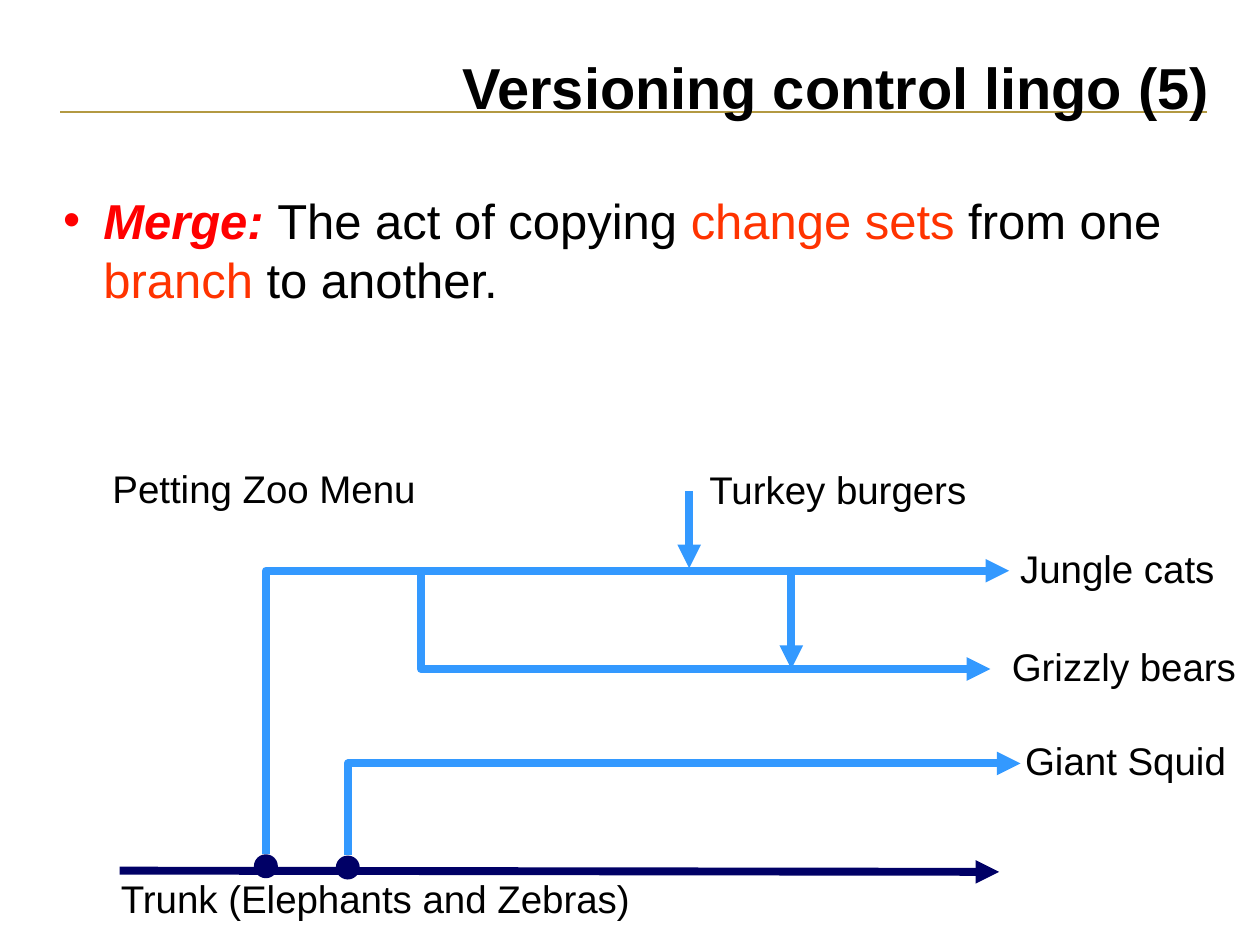
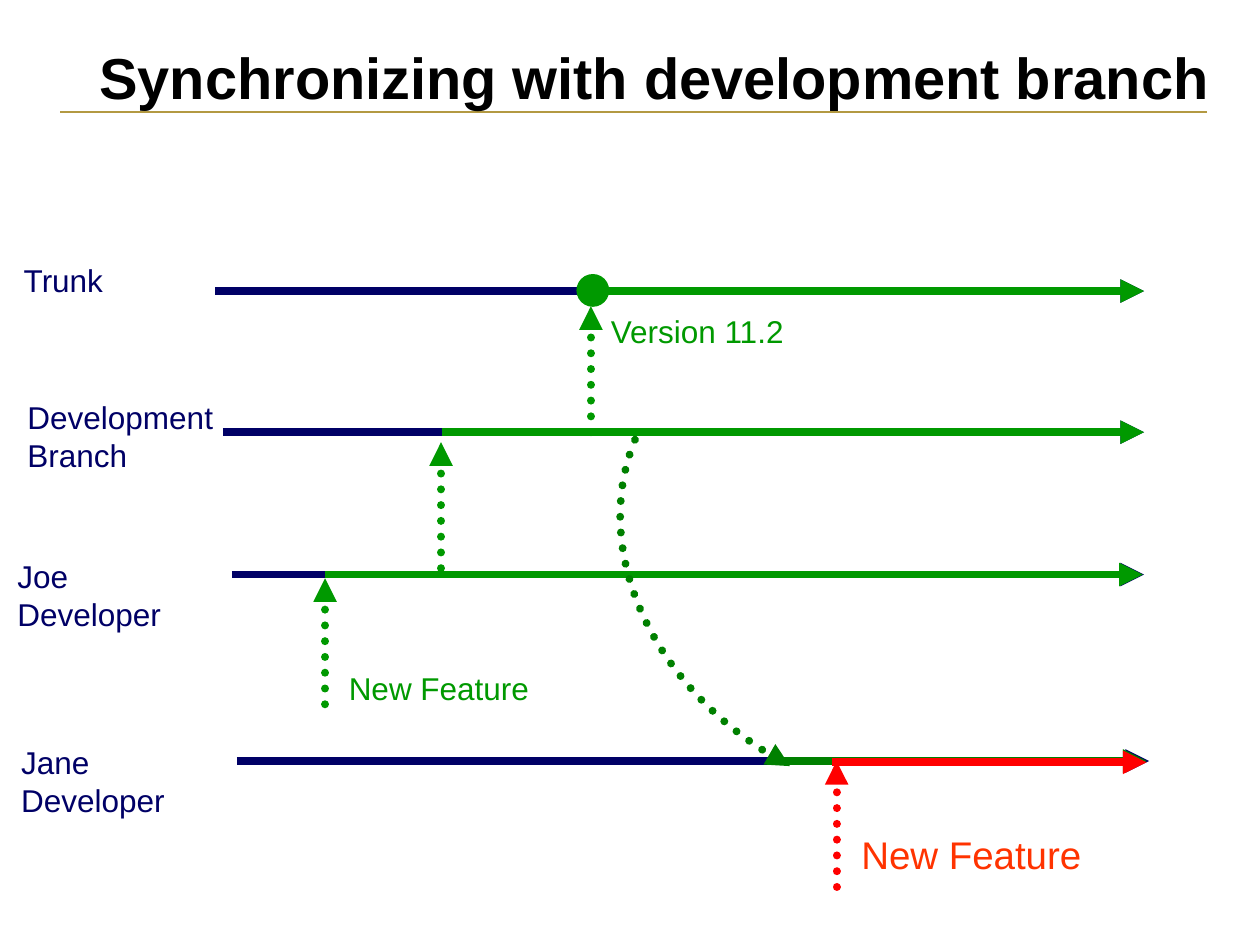
from dataclasses import dataclass

from lxml import etree
from pptx import Presentation
from pptx.dml.color import RGBColor
from pptx.enum.dml import MSO_LINE
from pptx.enum.shapes import MSO_CONNECTOR, MSO_SHAPE
from pptx.enum.text import MSO_ANCHOR, MSO_AUTO_SIZE, PP_ALIGN
from pptx.oxml.ns import qn
from pptx.util import Inches, Pt

STRAIGHT = MSO_CONNECTOR.STRAIGHT
OVAL = MSO_SHAPE.OVAL
ROUND_DOT = MSO_LINE.ROUND_DOT
LEFT, CENTER, RIGHT = PP_ALIGN.LEFT, PP_ALIGN.CENTER, PP_ALIGN.RIGHT

# The slide is a square grid of 100 columns by 75 rows.
COLUMNS, ROWS = 100, 75
CELL = Inches(10) / COLUMNS
TITLE_AND_BODY, TITLE_ONLY = 1, 5


@dataclass(frozen=True)
class Theme:
    font: str = "Arial"
    black: str = "000000"
    gold: str = "B39942"
    navy: str = "000066"
    blue: str = "3399FF"
    green: str = "009900"
    dark_green: str = "008000"
    red: str = "FF0000"
    orange: str = "FF3300"
    title_size: float = 33
    body_size: float = 28
    label_size: float = 22
    small_size: float = 18
    rule_width: float = 1.5
    track_width: float = 4.5
    dot_outline: float = 0.75
    tight: float = 0.9


THEME = Theme()


def grid(cells):
    return round(cells * CELL)


def place(shape, left, top, width, height):
    shape.left, shape.top = grid(left), grid(top)
    shape.width, shape.height = grid(width), grid(height)


def add_span(para, text, size, color, bold=False, italic=False):
    span = para.add_run()
    span.text = text
    font = span.font
    font.name, font.size = THEME.font, Pt(size)
    font.bold, font.italic = bold, italic
    font.color.rgb = RGBColor.from_string(color)


def set_frame(frame, inset=(0, 0), wrap=True, anchor=MSO_ANCHOR.TOP):
    frame.margin_left = frame.margin_right = grid(inset[0])
    frame.margin_top = frame.margin_bottom = grid(inset[1])
    frame.word_wrap = wrap
    frame.auto_size = MSO_AUTO_SIZE.NONE
    frame.vertical_anchor = anchor


def add_title(slide, text, top):
    title = slide.shapes.title
    place(title, 5, top, 91, 5)
    set_frame(title.text_frame, anchor=MSO_ANCHOR.MIDDLE)
    para = title.text_frame.paragraphs[0]
    para.alignment, para.line_spacing = RIGHT, THEME.tight
    add_span(para, text, THEME.title_size, THEME.black, bold=True)


def add_definition(slide, spans):
    """Fill the body with one bulleted paragraph of (text, color, strong) spans."""
    body = slide.placeholders[1]
    place(body, 5, 15.1, 90.9, 22.4)
    set_frame(body.text_frame)
    para = body.text_frame.paragraphs[0]
    para.space_before = Pt(10.5)
    properties = para._p.get_or_add_pPr()
    properties.set("marL", str(grid(3.2)))
    properties.set("indent", str(-grid(3.2)))
    for text, color, strong in spans:
        add_span(para, text, THEME.body_size, color, strong, strong)


def add_label(slide, text, box, color=THEME.black, size=THEME.label_size,
              align=RIGHT, spacing=THEME.tight, inset=(0, 0), wrap=False):
    label = slide.shapes.add_textbox(*map(grid, box))
    set_frame(label.text_frame, inset, wrap)
    para = label.text_frame.paragraphs[0]
    para.alignment, para.line_spacing = align, spacing
    for number, line in enumerate(text.split("\n")):
        if number:
            para.add_line_break()
        add_span(para, line, size, color)


def add_note(slide, text, box, color):
    add_label(slide, text, box, color, THEME.small_size, LEFT, 1.0, (1, 0.5))


def style_line(shape, color, width=THEME.track_width, dotted=False, arrow=True):
    shape.line.color.rgb = RGBColor.from_string(color)
    shape.line.width = Pt(width)
    properties = shape._element.spPr
    outline = properties.find(qn("a:ln"))
    if dotted:
        shape.line.dash_style = ROUND_DOT
        outline.set("cap", "rnd")
    if arrow:
        etree.SubElement(outline, qn("a:tailEnd"), type="triangle")
    if properties.find(qn("a:effectLst")) is None:
        etree.SubElement(properties, qn("a:effectLst"))


def add_line(slide, start, end, color, **style):
    line = slide.shapes.add_connector(STRAIGHT, *map(grid, (*start, *end)))
    style_line(line, color, **style)
    return line


def add_branch(slide, start, end):
    """Draw an arrow that leaves start vertically, then runs right to end."""
    (x1, y1), (x2, y2) = start, end
    run, rise = x2 - x1, abs(y2 - y1)
    branch = slide.shapes.add_connector(STRAIGHT, 0, 0, 0, 0)
    place(branch, (x1 + x2 - rise) / 2, (y1 + y2 - run) / 2, rise, run)
    properties = branch._element.spPr
    properties.find(qn("a:prstGeom")).set("prst", "bentConnector2")
    frame = properties.find(qn("a:xfrm"))
    frame.set("rot", "5400000")
    frame.set("flipV", "1")
    if y2 < y1:
        frame.set("flipH", "1")
    style_line(branch, THEME.blue)


def add_dot(slide, left, top, size, color, outline=0):
    dot = slide.shapes.add_shape(OVAL, *map(grid, (left, top, size, size)))
    dot.shadow.inherit = False
    dot.fill.solid()
    dot.fill.fore_color.rgb = RGBColor.from_string(color)
    if outline:
        style_line(dot, color, outline, arrow=False)
    else:
        dot.line.fill.background()


def add_curve(slide, controls, color, steps=32):
    """Draw a dotted arrow along a cubic curve with four control points."""
    points = []
    for step in range(steps + 1):
        t = step / steps
        weights = ((1 - t) ** 3, 3 * t * (1 - t) ** 2, 3 * t * t * (1 - t), t ** 3)
        points.append(tuple(
            grid(sum(weight * value for weight, value in zip(weights, axis)))
            for axis in zip(*controls)))
    builder = slide.shapes.build_freeform(*points[0])
    builder.add_line_segments(points[1:], close=False)
    curve = builder.convert_to_shape()
    curve.shadow.inherit = False
    curve.fill.background()
    style_line(curve, color, dotted=True)


def add_master_rule(deck, slide):
    """Draw the title rule and hand it to the master, so every slide shows it."""
    rule = add_line(slide, (95.8, 8.9), (4.8, 8.9), THEME.gold,
                    width=THEME.rule_width, arrow=False)
    deck.slide_master.shapes.element.append(rule._element)


def build_merge(slide):
    add_title(slide, "Versioning control lingo (5)", 4.7)
    add_definition(slide, [
        ("Merge: ", THEME.red, True),
        ("The act of copying ", THEME.black, False),
        ("change sets", THEME.orange, False),
        (" from one ", THEME.black, False),
        ("branch", THEME.orange, False),
        (" to another.", THEME.black, False),
    ])
    add_line(slide, (9.5, 69.1), (79.3, 69.2), THEME.navy)
    for text, box in (
        ("Petting Zoo Menu", (8.9, 37.3, 24.1, 3.3)),
        ("Trunk (Elephants and Zebras)", (9.5, 69.9, 40.5, 3.3)),
        ("Turkey burgers", (56.2, 37.4, 20.5, 3.3)),
    ):
        add_label(slide, text, box)
    for name, start, end, width in (
        ("Jungle cats", (21.1, 67.8), (80.1, 45.3), 16.3),
        ("Giant Squid", (27.6, 67.9), (81, 60.6), 16.3),
        ("Grizzly bears", (33.4, 45.4), (78.6, 53.1), 19.5),
    ):
        if start[1] > end[1]:
            add_dot(slide, start[0] - 0.95, start[1], 1.9, THEME.navy)
        add_branch(slide, start, end)
        add_label(slide, name, (end[0], end[1] - 1.65, width, 3.3), wrap=True)
    for x, top, bottom in ((54.7, 39, 45.1), (62.8, 45.4, 53.1)):
        add_line(slide, (x, top), (x, bottom), THEME.blue)


def build_synchronizing(slide):
    add_title(slide, "Synchronizing with development branch", 3.9)
    trunk, development, joe, jane = 23.1, 34.3, 45.6, 60.4
    for name, box, start, y, end in (
        ("Trunk", (0.9, 20.2, 8.4, 4), 17.1, trunk, 90.8),
        ("Development\nBranch", (1.2, 31.1, 16.7, 7), 17.7, development, 90.8),
        ("Joe\nDeveloper", (0.4, 43.7, 13.4, 7), 18.4, joe, 90.8),
        ("Jane\nDeveloper", (0.7, 58.5, 13.4, 7), 18.8, jane, 91.2),
    ):
        add_line(slide, (start, y), (end, y), THEME.navy)
        add_note(slide, name, box, THEME.navy)

    for start, y, end, color in (
        (46.7, trunk, 90.8, THEME.green),
        (35.1, development, 90.8, THEME.green),
        (25.8, joe, 90.7, THEME.green),
        (61.8, jane, 91, THEME.dark_green),
        (66, jane + 0.1, 91, THEME.red),
    ):
        add_line(slide, (start, y), (end, y), color)

    for x, bottom, color in (
        (46.9, development, THEME.green),
        (35, 45.1, THEME.green),
        (25.8, 55.9, THEME.green),
        (66.4, 70.4, THEME.red),
    ):
        add_line(slide, (x, bottom), (x, bottom - 10), color, dotted=True)

    add_curve(slide, [(50.4, 34.9), (46.7, 43.9), (52, 55.1), (62.7, 60.8)],
              THEME.dark_green)
    add_dot(slide, 45.8, 21.8, 2.5, THEME.green, THEME.dot_outline)
    add_note(slide, "Version 11.2", (47.5, 24.3, 16, 4), THEME.green)
    add_note(slide, "New Feature", (26.7, 52.6, 16.3, 4), THEME.green)
    add_label(slide, "New Feature", (67.4, 65.9, 19.4, 4.3), THEME.orange,
              align=CENTER, inset=(1, 0.5))


def main():
    deck = Presentation()
    deck.slide_width, deck.slide_height = grid(COLUMNS), grid(ROWS)
    merge = deck.slides.add_slide(deck.slide_layouts[TITLE_AND_BODY])
    add_master_rule(deck, merge)
    build_merge(merge)
    build_synchronizing(deck.slides.add_slide(deck.slide_layouts[TITLE_ONLY]))
    deck.save("out.pptx")


if __name__ == "__main__":
    main()
